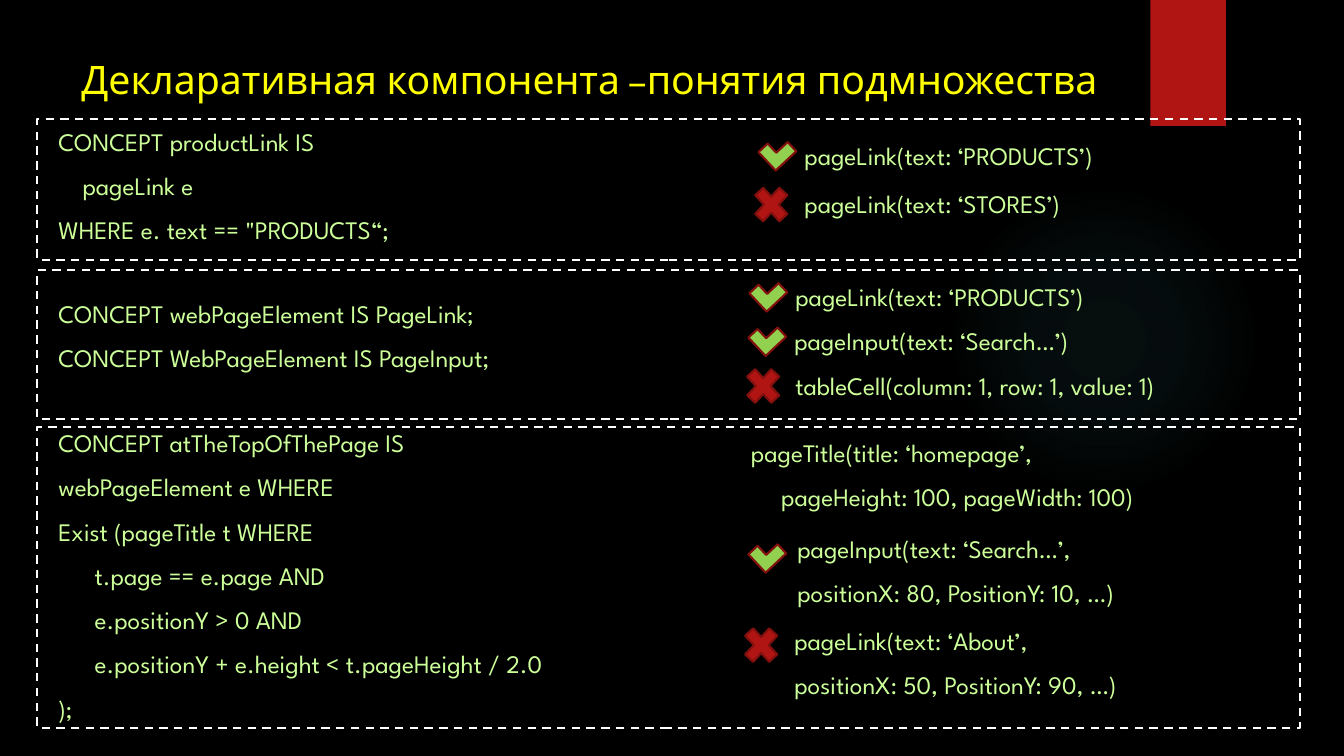
from dataclasses import dataclass

from lxml import etree
from pptx import Presentation
from pptx.dml.color import RGBColor
from pptx.enum.dml import MSO_LINE
from pptx.enum.shapes import MSO_SHAPE
from pptx.enum.text import MSO_ANCHOR
from pptx.oxml import parse_xml
from pptx.oxml.ns import nsdecls, qn
from pptx.util import Inches, Pt

RECTANGLE = MSO_SHAPE.RECTANGLE
ELLIPSE = MSO_SHAPE.OVAL
CROSS = MSO_SHAPE.MATH_MULTIPLY
CORNER = MSO_SHAPE.CORNER
DASH = MSO_LINE.DASH
TOP = MSO_ANCHOR.TOP


@dataclass(frozen=True)
class Theme:
    font: str = "League Spartan"
    background: str = "000000"
    title: str = "FFFF00"
    code: str = "CCFF99"
    frame: str = "FFFFFF"
    red: str = "B01513"
    dark_red: str = "82100E"
    green: str = "92D050"
    glow: str = "50B9C1"
    title_size: int = 28
    code_size: int = 18
    space_before: int = 10
    line_width: float = 1.5


THEME = Theme()
INDENT_STEP = 0.06  # width of one indent unit, inches

# Concept definitions: left, top, width, height, lines as (indent, text)
CONCEPTS = [
    (0.48, 1.2, 5.68, 1.4, [
        (0, "CONCEPT productLink IS"),
        (4, "pageLink e"),
        (0, "WHERE e. text == \"PRODUCTS“;")]),
    (0.48, 2.91, 6.19, 1.05, [
        (0, "CONCEPT webPageElement IS PageLink;"),
        (0, "CONCEPT WebPageElement IS PageInput;")]),
    (0.48, 4.19, 6.43, 3.15, [
        (0, "CONCEPT atTheTopOfThePage IS"),
        (0, "webPageElement e WHERE"),
        (0, "Exist (pageTitle t WHERE"),
        (6, "t.page == e.page AND"),
        (6, "e.positionY > 0 AND"),
        (6, "e.positionY + e.height < t.pageHeight / 2.0"),
        (0, ");")]),
]

# Examples on the right, in the same form
EXAMPLES = [
    (7.88, 1.34, 3.86, 0.56, [(0, "pageLink(text: ‘PRODUCTS’)")]),
    (7.88, 1.82, 3.86, 0.56, [(0, "pageLink(text: ‘STORES’)")]),
    (7.79, 2.74, 3.86, 0.56, [(0, "pageLink(text: ‘PRODUCTS’)")]),
    (7.78, 3.18, 3.86, 0.56, [(0, "pageInput(text: ‘Search…’)")]),
    (7.79, 3.62, 4.94, 0.56, [(0, "tableCell(column: 1, row: 1, value: 1)")]),
    (7.35, 4.29, 5.06, 0.9, [
        (0, "pageTitle(title: ‘homepage’,"),
        (5, "pageHeight: 100, pageWidth: 100)")]),
    (7.81, 5.24, 4.96, 0.94, [
        (0, "pageInput(text: ‘Search…’,"),
        (0, "positionX: 80, PositionY: 10, …)")]),
    (7.78, 6.15, 4.96, 0.94, [
        (0, "pageLink(text: ‘About’,"),
        (0, "positionX: 50, PositionY: 90, …)")]),
]

FRAMES = [(1.18, 1.4), (2.68, 1.48), (4.24, 2.98)]  # top, height
CHECKS = [(7.57, 1.38), (7.48, 2.78), (7.47, 3.22), (7.47, 5.37)]
CROSSES = [(7.42, 1.78), (7.34, 3.58), (7.32, 6.15)]


def color(value):
    return RGBColor.from_string(value)


def add_shape(page, kind, left, top, width, height, fill=None, line=None,
              dash=None, rotation=0):
    shape = page.shapes.add_shape(
        kind, Inches(left), Inches(top), Inches(width), Inches(height))
    shape.shadow.inherit = False
    shape.rotation = rotation
    if fill:
        shape.fill.solid()
        shape.fill.fore_color.rgb = color(fill)
    else:
        shape.fill.background()
    if line:
        shape.line.color.rgb = color(line)
        shape.line.width = Pt(THEME.line_width)
        if dash:
            shape.line.dash_style = dash
    else:
        shape.line.fill.background()
    return shape


def add_text(page, left, top, width, height, lines, size=THEME.code_size,
             ink=THEME.code, space_before=THEME.space_before):
    box = page.shapes.add_textbox(
        Inches(left), Inches(top), Inches(width), Inches(height))
    frame = box.text_frame
    frame.word_wrap = True
    frame.vertical_anchor = TOP
    for index, (indent, text) in enumerate(lines):
        para = frame.paragraphs[0] if index == 0 else frame.add_paragraph()
        para.space_before = Pt(space_before)
        if indent:
            properties = para._p.get_or_add_pPr()
            properties.set("marL", str(Inches(indent * INDENT_STEP)))
            properties.set("indent", "0")
        span = para.add_run()
        span.text = text
        span.font.name = THEME.font
        span.font.size = Pt(size)
        span.font.color.rgb = color(ink)


def add_glow(page, left, top, size):
    shape = add_shape(page, ELLIPSE, left, top, size, size)
    stops = [(0, 7), (36, 6), (69, 0)]  # position and opacity, percent
    gradient = parse_xml(
        f'<a:gradFill {nsdecls("a")}><a:gsLst/><a:path path="circle">'
        '<a:fillToRect l="50000" t="50000" r="50000" b="50000"/>'
        '</a:path></a:gradFill>')
    for position, opacity in stops:
        stop = etree.SubElement(gradient[0], qn("a:gs"), pos=str(position * 1000))
        tint = etree.SubElement(stop, qn("a:srgbClr"), val=THEME.glow)
        etree.SubElement(tint, qn("a:alpha"), val=str(opacity * 1000))
    properties = shape._element.spPr
    properties.replace(properties.find(qn("a:noFill")), gradient)


def add_check(page, left, top):
    add_shape(page, CORNER, left, top, 0.28, 0.25, fill=THEME.green,
              line=THEME.dark_red, rotation=316.9)


def add_cross(page, left, top):
    add_shape(page, CROSS, left, top, 0.46, 0.5, fill=THEME.red,
              line=THEME.dark_red)


def main():
    deck = Presentation()
    deck.slide_width, deck.slide_height = Inches(13.33), Inches(7.5)
    page = deck.slides.add_slide(deck.slide_layouts[6])

    # Background and decoration
    page.background.fill.solid()
    page.background.fill.fore_color.rgb = color(THEME.background)
    add_glow(page, 9.41, 1.83, 3.08)
    add_shape(page, RECTANGLE, 11.41, 0, 0.75, 1.25, fill=THEME.red)

    # Title
    add_text(page, 0.71, 0.5, 10.94, 1.53,
             [(0, "Декларативная компонента –понятия подмножества")],
             size=THEME.title_size, ink=THEME.title, space_before=0)

    # Dashed frames
    for top, height in FRAMES:
        add_shape(page, RECTANGLE, 0.37, top, 12.52, height,
                  line=THEME.frame, dash=DASH)

    # Concepts and examples
    for left, top, width, height, lines in CONCEPTS + EXAMPLES:
        add_text(page, left, top, width, height, lines)

    # Marks
    for left, top in CHECKS:
        add_check(page, left, top)
    for left, top in CROSSES:
        add_cross(page, left, top)

    deck.save("out.pptx")


if __name__ == "__main__":
    main()
